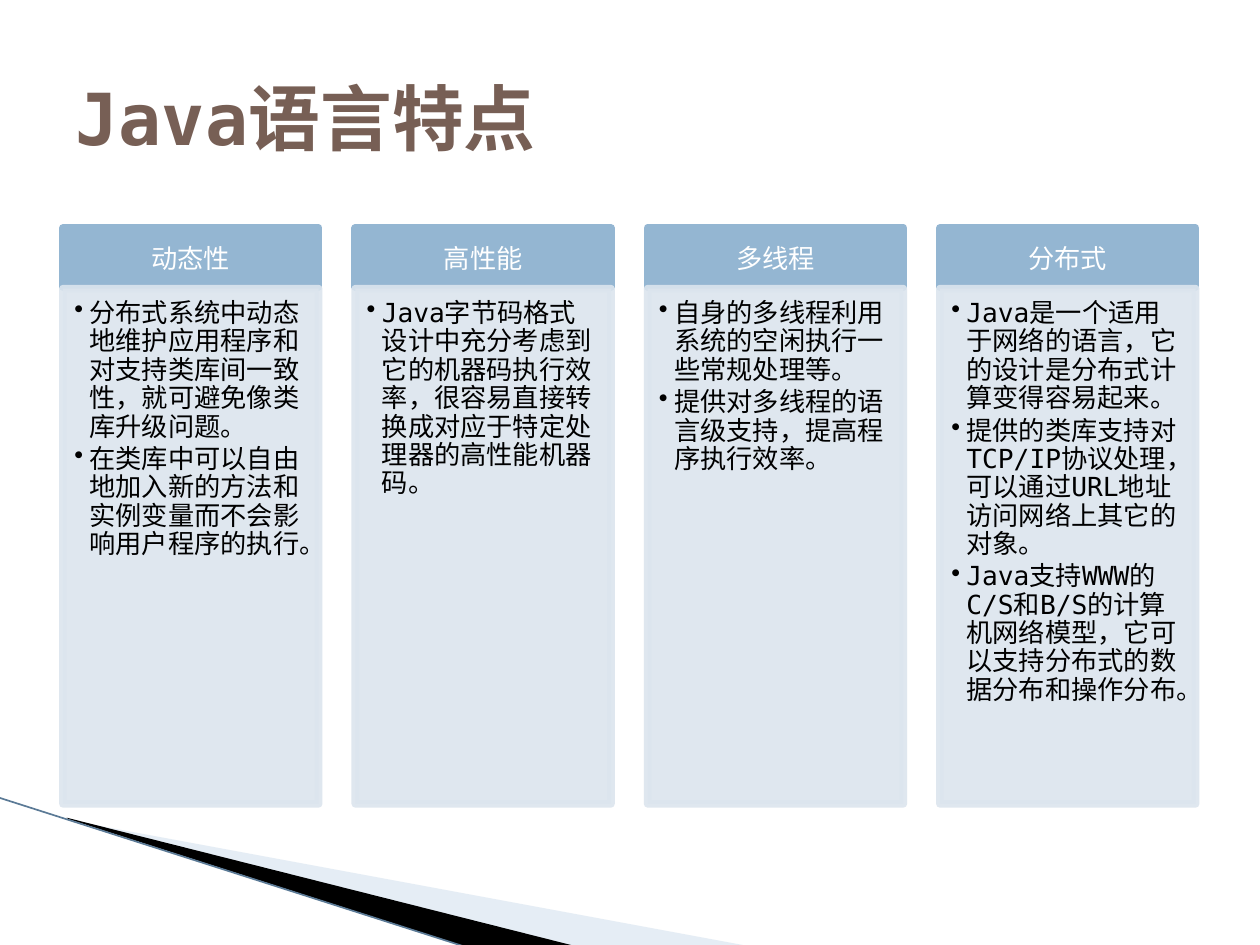
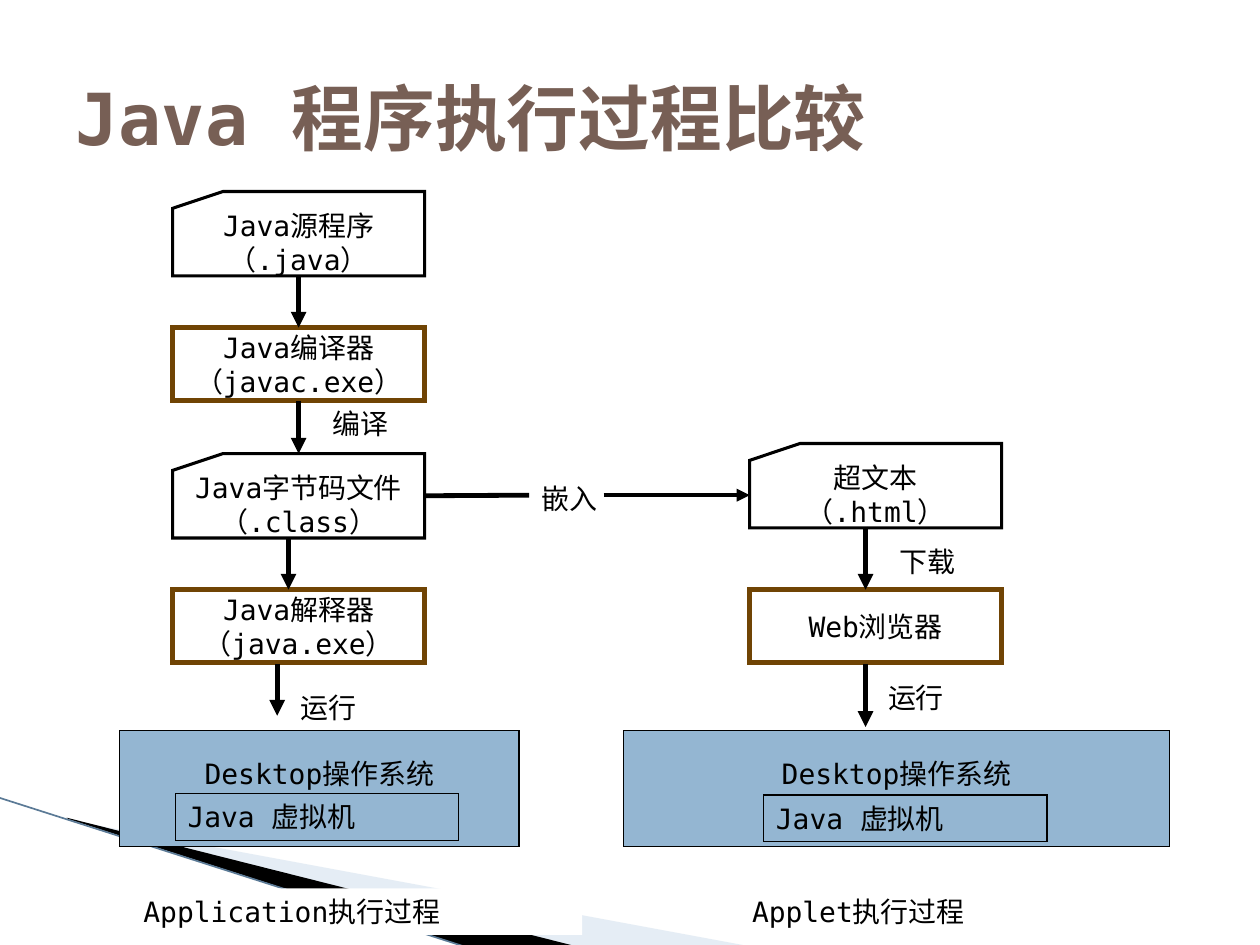
from lxml import etree
from pptx import Presentation
from pptx.dml.color import RGBColor
from pptx.enum import shapes, text
from pptx.oxml import ns
from pptx.util import Inches, Pt

FONT = "DejaVu Sans Mono"
COLORS = {
    "white": "FFFFFF", "black": "000000", "title": "775F55",
    "header": "94B6D2", "panel": "DCE5EE", "program": "704404",
    "wedge": "C0D3E6", "edge": "5B7A96",
}
WEDGES = [
    ("wedge", 40, [(0.55, 6.51), (5.95, 7.51), (4.56, 7.51), (0.55, 6.5)]),
    ("black", 100, [(0.53, 6.49), (4.57, 7.51), (3.72, 7.52), (0.54, 6.5)]),
]
EDGE = (-0.01, 6.33, 3.71, 7.52)

FEATURES_TITLE = "Java语言特点"
FEATURES = [
    ("动态性", [
        "分布式系统中动态地维护应用程序和对支持类库间一致性，就可避免像类库升级问题。",
        "在类库中可以自由地加入新的方法和实例变量而不会影响用户程序的执行。"]),
    ("高性能", [
        "Java字节码格式设计中充分考虑到它的机器码执行效率，很容易直接转换成对应于特定处理器的高性能机器码。"]),
    ("多线程", [
        "自身的多线程利用系统的空闲执行一些常规处理等。",
        "提供对多线程的语言级支持，提高程序执行效率。"]),
    ("分布式", [
        "Java是一个适用于网络的语言，它的设计是分布式计算变得容易起来。",
        "提供的类库支持对TCP/IP协议处理，可以通过URL地址访问网络上其它的对象。",
        "Java支持WWW的C/S和B/S的计算机网络模型，它可以支持分布式的数据分布和操作分布。"]),
]

PROCESS_TITLE = "Java 程序执行过程比较"
APPLICATION_X, APPLET_X, STEP_W = 1.37, 5.95, 2
STEPS = {
    "source": ("file", APPLICATION_X, 1.52, ["Java源程序", "（.java）"]),
    "compiler": ("program", APPLICATION_X, 2.6, ["Java编译器", "（javac.exe）"]),
    "bytecode": ("file", APPLICATION_X, 3.6, ["Java字节码文件", "（.class）"]),
    "interpreter": ("program", APPLICATION_X, 4.68, ["Java解释器", "（java.exe）"]),
    "hypertext": ("file", APPLET_X, 3.52, ["超文本", "（.html）"]),
    "browser": ("program", APPLET_X, 4.68, ["Web浏览器"]),
}
STEP_STYLES = {
    "file": (shapes.MSO_SHAPE.FLOWCHART_CARD, 0.67, "black", 1.75),
    "program": (shapes.MSO_SHAPE.RECTANGLE, 0.58, "program", 3),
}
FLOWS = [
    ((2.37, 2.19, 2.37, 2.6), 3, True, ("source", 2), ("compiler", 0)),
    ((2.37, 3.18, 2.37, 3.6), 3, True, ("compiler", 2), ("bytecode", 0)),
    ((2.29, 4.27, 2.29, 4.68), 3, True, None, None),
    ((2.2, 5.27, 2.2, 5.68), 3, True, None, None),
    ((3.37, 3.93, 4.2, 3.93), 2.75, False, ("bytecode", 3), None),
    ((4.79, 3.93, 5.95, 3.93), 2.5, True, None, None),
    ((6.87, 4.18, 6.87, 4.68), 3, True, None, None),
    ((6.87, 5.27, 6.87, 5.77), 3, True, None, None),
]
SYSTEMS = [(0.95, 3.17, 1.39, 6.3), (4.95, 4.33, 6.06, 6.31)]
SYSTEM_NAME, MACHINE_NAME = "Desktop操作系统", "Java 虚拟机"
LABELS = [
    ("编译", 2.54, 3.18, 1.25, None),
    ("运行", 2.29, 5.43, 1.25, None),
    ("嵌入", 4.2, 3.77, 0.75, None),
    ("下载", 7.04, 4.27, 1.25, None),
    ("运行", 6.95, 5.35, 1.25, None),
    ("Application执行过程", 1.04, 7.05, 3.58, "white"),
    ("Applet执行过程", 5.87, 7.05, 3.58, None),
]
LABEL_H = 0.37


def rgb(name):
    return RGBColor.from_string(COLORS[name])


def add_xml(parent, tag, **attributes):
    return etree.SubElement(parent, ns.qn(tag), attributes)


def paint(shape, fill, line=None, width=0.75, alpha=100):
    shape.shadow.inherit = False
    if fill:
        shape.fill.solid()
        shape.fill.fore_color.rgb = rgb(fill)
    else:
        shape.fill.background()
    if line:
        shape.line.color.rgb = rgb(line)
        shape.line.width = Pt(width)
    else:
        shape.line.fill.background()
    if alpha < 100:
        for color in shape.element.spPr.iter(ns.qn("a:srgbClr")):
            add_xml(color, "a:alpha", val=str(alpha * 1000))


def write(shape, lines, size, color="black", align=text.PP_ALIGN.LEFT,
          anchor=text.MSO_ANCHOR.TOP, wrap=True, insets=(0.1, 0.05, 0.1, 0.05)):
    frame = shape.text_frame
    frame.text = "\n".join(lines)
    frame.word_wrap = wrap
    frame.vertical_anchor = anchor
    (frame.margin_left, frame.margin_top,
     frame.margin_right, frame.margin_bottom) = map(Inches, insets)
    for paragraph in frame.paragraphs:
        paragraph.alignment = align
        paragraph.font.name = FONT
        paragraph.font.size = Pt(size)
        paragraph.font.color.rgb = rgb(color)
    return frame.paragraphs


def add_box(slide, place, fill, line=None, width=0.75, alpha=100,
            kind=shapes.MSO_SHAPE.RECTANGLE, miter=True):
    box = slide.shapes.add_shape(kind, *map(Inches, place))
    paint(box, fill, line, width, alpha)
    if line and miter:
        add_xml(box.line._get_or_add_ln(), "a:miter", lim="800000")
    return box


def add_line(slide, ends, color, width, arrow=False):
    line = slide.shapes.add_connector(
        shapes.MSO_CONNECTOR.STRAIGHT, *map(Inches, ends))
    line.line.color.rgb = rgb(color)
    line.line.width = Pt(width)
    if arrow:
        add_xml(line.line._get_or_add_ln(), "a:tailEnd", type="triangle")
    add_xml(line.element.spPr, "a:effectLst")
    return line


def add_titled_slide(deck, title):
    slide = deck.slides.add_slide(deck.slide_layouts[5])
    heading = slide.shapes.title
    heading.left, heading.top, heading.width, heading.height = map(
        Inches, (0.5, 0.3, 9, 1.25))
    for paragraph in write(heading, [title], 41, "title",
                           anchor=text.MSO_ANCHOR.MIDDLE):
        paragraph.font.bold = True
    return slide


def decorate_layout(slide):
    layout = slide.slide_layout
    for holder in list(layout.placeholders):
        if holder.placeholder_format.type != shapes.PP_PLACEHOLDER.TITLE:
            holder.element.getparent().remove(holder.element)
    decor = []
    for color, alpha, points in WEDGES:
        start, *rest = [tuple(map(Inches, point)) for point in points]
        outline = slide.shapes.build_freeform(*start)
        outline.add_line_segments(rest)
        wedge = outline.convert_to_shape()
        paint(wedge, color, alpha=alpha)
        decor.append(wedge)
    decor.append(add_line(slide, EDGE, "edge", 0.95))
    for part in decor:
        layout.shapes.element.append(part.element)


def add_features(slide):
    for column, (name, points) in enumerate(FEATURES):
        left = 0.5 + 2.32 * column
        header = add_box(slide, (left, 1.81, 2.03, 0.47), "header", "header",
                         4.33, miter=False)
        write(header, [name], 15, "white", text.PP_ALIGN.CENTER,
              text.MSO_ANCHOR.MIDDLE, insets=(0.12, 0.07, 0.12, 0.07))
        panel = add_box(slide, (left, 2.29, 2.03, 4.09), "panel", "panel",
                        4.33, 90, miter=False)
        for paragraph in write(panel, points, 15,
                               insets=(0.09, 0.09, 0.12, 0.13)):
            paragraph.line_spacing = 0.9
            paragraph.space_after = Pt(2.25)
            properties = paragraph._p.get_or_add_pPr()
            properties.set("marL", str(Inches(0.12)))
            properties.set("indent", str(Inches(-0.12)))
            bullet = etree.Element(ns.qn("a:buChar"), char="•")
            properties.find(ns.qn("a:spcAft")).addnext(bullet)


def add_process(slide):
    steps = {}
    for key, (style, left, top, lines) in STEPS.items():
        kind, height, line, width = STEP_STYLES[style]
        steps[key] = add_box(slide, (left, top, STEP_W, height), "white",
                             line, width, kind=kind)
        write(steps[key], lines, 16, align=text.PP_ALIGN.CENTER,
              anchor=text.MSO_ANCHOR.MIDDLE, wrap=False)
    for ends, width, arrow, begin, end in FLOWS:
        flow = add_line(slide, ends, "black", width, arrow)
        if begin:
            flow.begin_connect(steps[begin[0]], begin[1])
        if end:
            flow.end_connect(steps[end[0]], end[1])
    for left, width, machine_left, machine_top in SYSTEMS:
        system = add_box(slide, (left, 5.8, width, 0.92), "header", "black")
        write(system, [SYSTEM_NAME], 16, align=text.PP_ALIGN.CENTER,
              anchor=text.MSO_ANCHOR.MIDDLE, wrap=False,
              insets=(0.1, 0.05, 0.1, 0.3))
        machine = add_box(slide, (machine_left, machine_top, 2.25, LABEL_H),
                          None, "black")
        write(machine, [MACHINE_NAME], 16)
    for words, left, top, width, fill in LABELS:
        label = slide.shapes.add_textbox(
            *map(Inches, (left, top, width, LABEL_H)))
        if fill:
            label.fill.solid()
            label.fill.fore_color.rgb = rgb(fill)
        write(label, [words], 16)


def main():
    deck = Presentation()
    deck.slide_width, deck.slide_height = Inches(10), Inches(7.5)
    features = add_titled_slide(deck, FEATURES_TITLE)
    decorate_layout(features)
    add_features(features)
    add_process(add_titled_slide(deck, PROCESS_TITLE))
    deck.save("out.pptx")


if __name__ == "__main__":
    main()
